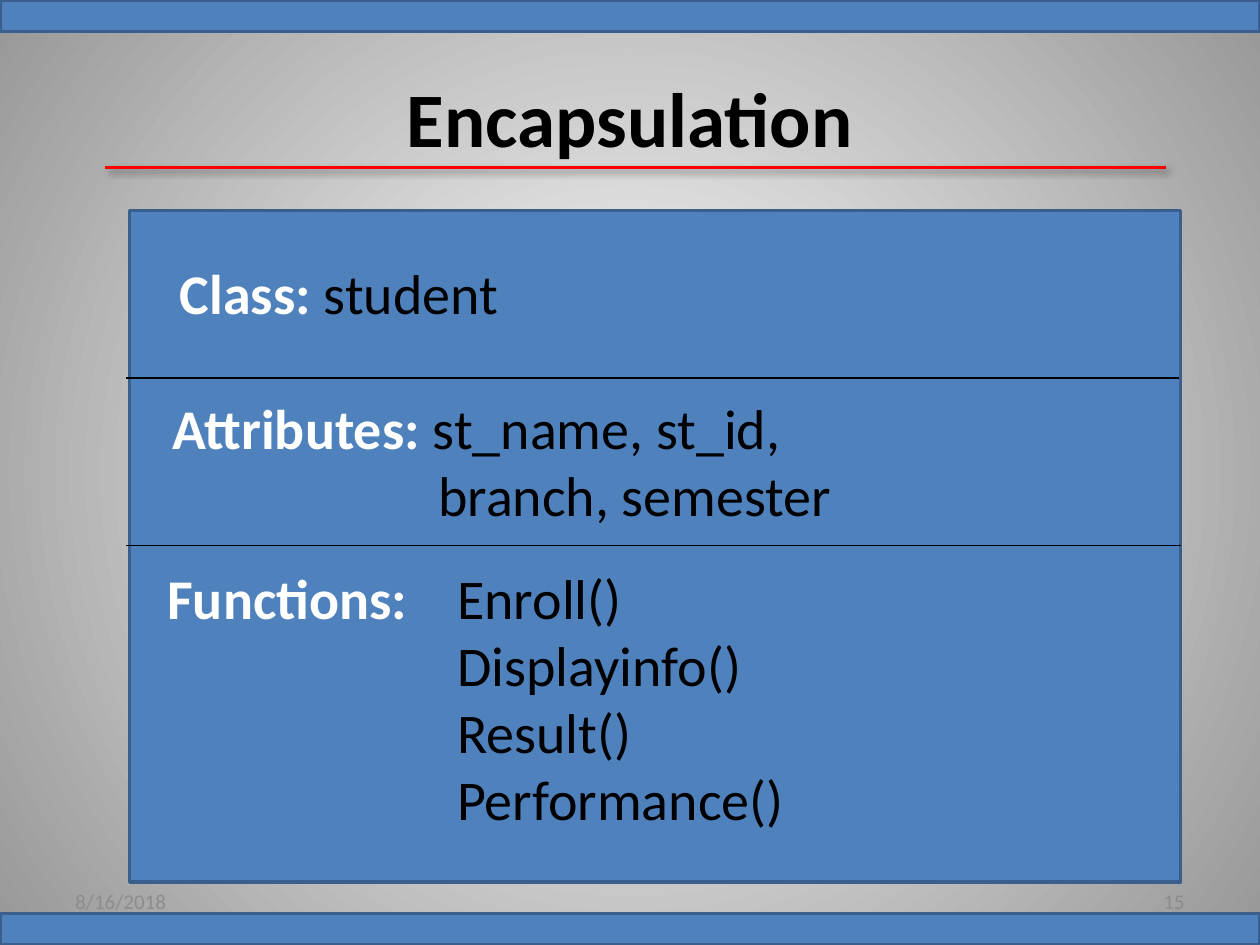
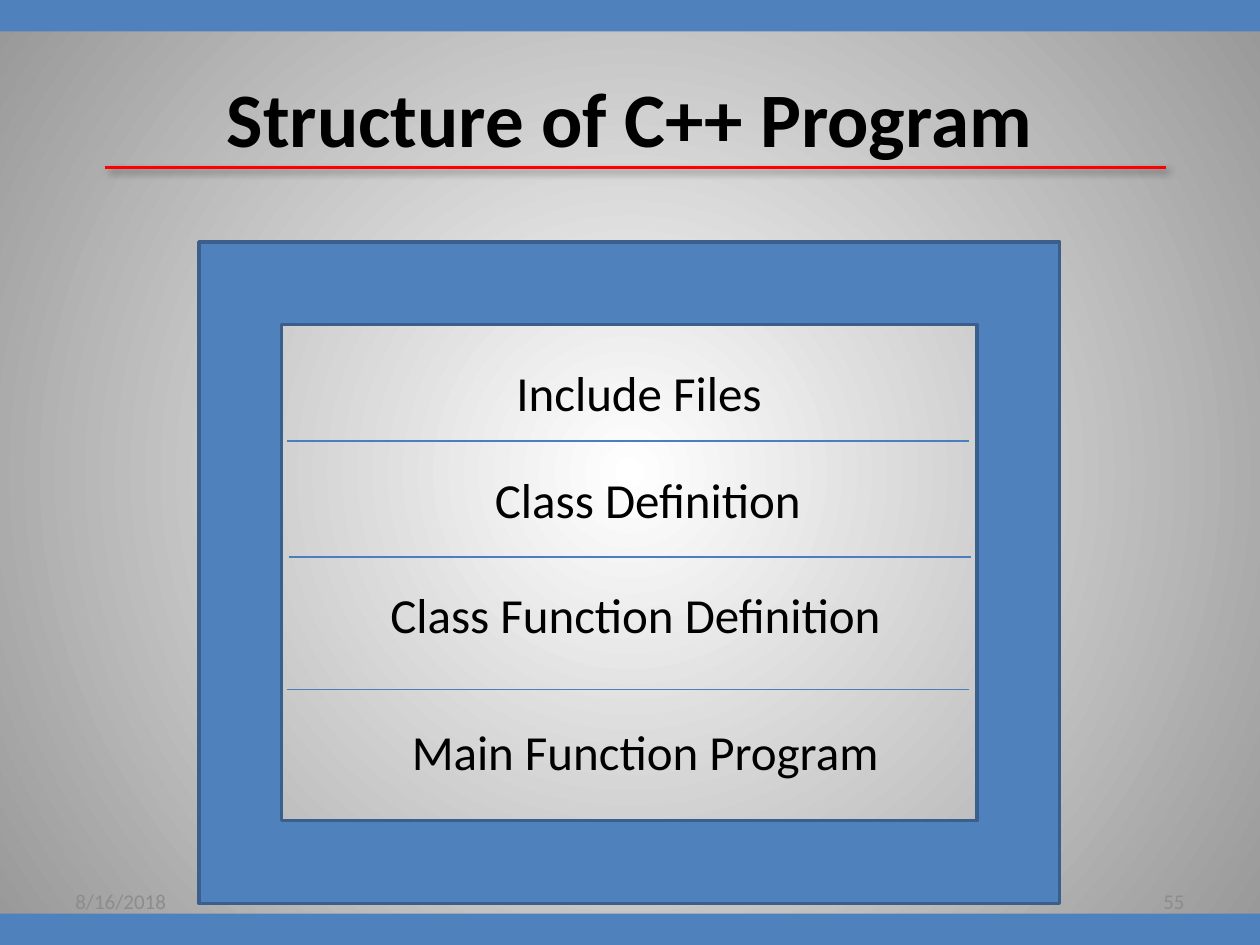
from dataclasses import dataclass

from lxml import etree
from pptx import Presentation
from pptx import util as u
from pptx.dml.color import RGBColor
from pptx.enum import shapes, text
from pptx.oxml import ns

COLORS = {
    "blue": "4F81BD", "edge": "3A5F8C", "divider": "4B7EBC", "red": "FF0000",
    "black": "000000", "white": "FFFFFF", "gray": "979797", "footer": "8C8C8C",
}
FONT = "Calibri"
DATE = "8/16/2018"
BAND_HEIGHT = 0.25


@dataclass
class Span:
    words: str
    color: str = "black"
    bold: bool = False


@dataclass
class Line:
    spans: list[Span]
    margin: float = 0
    indent: float = 0


@dataclass
class TextBlock:
    left: float
    top: float
    width: float
    height: float
    lines: list[Line]
    size: float


@dataclass
class Divider:
    left: float
    right: float
    y: float


def rgb(name: str) -> RGBColor:
    return RGBColor.from_string(COLORS[name])


def add_span(para, span: Span, size: float) -> None:
    run = para.add_run()
    run.text = span.words
    run.font.name = FONT
    run.font.size = u.Pt(size)
    run.font.bold = span.bold
    run.font.color.rgb = rgb(span.color)


def add_text(page, block: TextBlock, align=text.PP_ALIGN.LEFT, anchor=text.MSO_ANCHOR.TOP) -> None:
    box = page.shapes.add_textbox(*map(u.Inches, (block.left, block.top, block.width, block.height)))
    frame = box.text_frame
    frame.word_wrap = True
    frame.vertical_anchor = anchor
    for index, line in enumerate(block.lines):
        para = frame.add_paragraph() if index else frame.paragraphs[0]
        para.alignment = align
        if line.margin:
            props = para._p.get_or_add_pPr()
            props.set("marL", str(u.Inches(line.margin)))
            props.set("indent", str(u.Inches(line.indent)))
        for span in line.spans:
            add_span(para, span, block.size)


def add_panel(page, left: float, top: float, width: float, height: float,
              kind=shapes.MSO_SHAPE.RECTANGLE, outlined: bool = True) -> None:
    panel = page.shapes.add_shape(kind, *map(u.Inches, (left, top, width, height)))
    panel.shadow.inherit = False
    panel.fill.solid()
    panel.fill.fore_color.rgb = rgb("blue")
    if outlined:
        panel.line.color.rgb = rgb("edge")
        panel.line.width = u.Pt(2)
    else:
        panel.line.fill.background()


def add_line(page, divider: Divider, color: str, width: float):
    """Draw a horizontal line and return its empty effect list."""
    line = page.shapes.add_connector(
        shapes.MSO_CONNECTOR.STRAIGHT,
        *map(u.Inches, (divider.left, divider.y, divider.right, divider.y)))
    line.line.color.rgb = rgb(color)
    line.line.width = u.Pt(width)
    return etree.SubElement(line._element.spPr, ns.qn("a:effectLst"))


def add_title_rule(page) -> None:
    effects = add_line(page, Divider(0.83, 9.25, 1.33), "red", 2)
    shadow = etree.SubElement(effects, ns.qn("a:outerShdw"), blurRad=str(u.Pt(4)),
                              dist=str(u.Pt(3)), dir=str(45 * 60000), rotWithShape="0")
    tint = etree.SubElement(shadow, ns.qn("a:srgbClr"), val=COLORS["black"])
    etree.SubElement(tint, ns.qn("a:alpha"), val="40000")


def set_background(page) -> None:
    fill = page.background.fill
    fill.gradient()
    for stop, position, color in zip(fill.gradient_stops, (0, 1), ("white", "gray")):
        stop.position = position
        stop.color.rgb = rgb(color)
    linear = next(page._element.iter(ns.qn("a:lin")))
    radial = etree.Element(ns.qn("a:path"), {"path": "circle"})
    etree.SubElement(radial, ns.qn("a:fillToRect"), dict.fromkeys("ltrb", "50000"))
    linear.getparent().replace(linear, radial)


def add_page(deck, title: str):
    page = deck.slides.add_slide(deck.slide_layouts[5])
    set_background(page)
    heading = page.shapes.title
    heading.left, heading.top, heading.width, heading.height = map(u.Inches, (0.5, 0.3, 9, 1.25))
    heading.text_frame.vertical_anchor = text.MSO_ANCHOR.MIDDLE
    para = heading.text_frame.paragraphs[0]
    para.alignment = text.PP_ALIGN.CENTER
    add_span(para, Span(title, bold=True), 44)
    return page


def finish_page(page, number: str, outlined: bool) -> None:
    """Add the bands, title rule, date and slide number."""
    for top in (0, 7.5 - BAND_HEIGHT):
        add_panel(page, 0, top, 10, BAND_HEIGHT, outlined=outlined)
    add_title_rule(page)
    for left, words, align in ((0.5, DATE, text.PP_ALIGN.LEFT),
                               (7.17, number, text.PP_ALIGN.RIGHT)):
        block = TextBlock(left, 6.95, 2.33, 0.4, [Line([Span(words, "footer")])], 12)
        add_text(page, block, align, text.MSO_ANCHOR.MIDDLE)


def label(words: str) -> Span:
    return Span(words, "white", True)


def build_encapsulation(deck) -> None:
    page = add_page(deck, "Encapsulation")
    add_panel(page, 1.03, 1.67, 8.34, 5.33)
    for divider in (Divider(1, 9.36, 3), Divider(1, 9.37, 4.33)):
        add_line(page, divider, "black", 0.75)

    # Class, attributes and functions
    column = 2.3
    functions = [Line([label("Functions:\t"), Span("Enroll()")], column, -column)]
    functions += [Line([Span(name)], column)
                  for name in ("Displayinfo()", "Result()", "Performance()")]
    attributes = [Line([label("Attributes: "), Span("st_name, st_id,")]),
                  Line([Span("branch, semester")], 2.11)]
    for block in (
        TextBlock(1.33, 2, 4.46, 0.64, [Line([label("Class: "), Span("student")])], 32),
        TextBlock(1.27, 3.07, 8.36, 1.18, attributes, 32),
        TextBlock(1.23, 4.42, 8.36, 2.26, functions, 32),
    ):
        add_text(page, block)
    finish_page(page, "15", outlined=True)


def build_structure(deck) -> None:
    page = add_page(deck, "Structure of C++ Program")
    add_panel(page, 1.58, 1.92, 6.83, 5.25, shapes.MSO_SHAPE.FRAME)
    for divider in (Divider(2.28, 7.69, 3.5), Divider(2.29, 7.71, 4.42),
                    Divider(2.28, 7.69, 5.47)):
        add_line(page, divider, "divider", 0.75)

    # Program sections
    for left, top, width, words in (
        (4, 2.83, 2.25, "Include Files"),
        (3.83, 3.68, 2.92, "Class Definition"),
        (3, 4.59, 4.33, "Class Function Definition"),
        (3.17, 5.68, 4.33, "Main Function Program"),
    ):
        add_text(page, TextBlock(left, top, width, 0.57, [Line([Span(words)])], 28))
    finish_page(page, "55", outlined=False)


def main() -> None:
    deck = Presentation()
    deck.slide_width, deck.slide_height = u.Inches(10), u.Inches(7.5)
    build_encapsulation(deck)
    build_structure(deck)
    deck.save("out.pptx")


if __name__ == "__main__":
    main()
